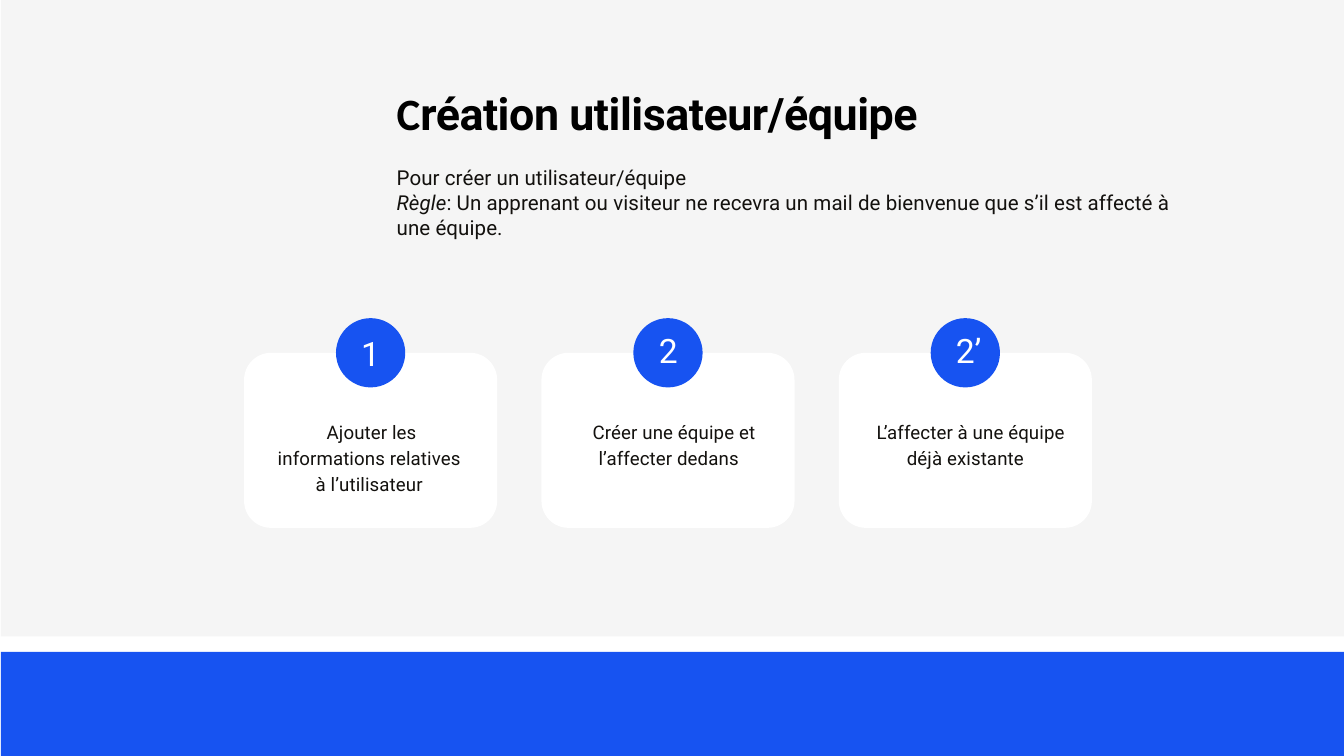
from pptx import Presentation
from pptx.dml.color import RGBColor
from pptx.enum.shapes import MSO_SHAPE
from pptx.enum.text import PP_ALIGN
from pptx.util import Pt

RECT, ROUND, OVAL = MSO_SHAPE.RECTANGLE, MSO_SHAPE.ROUNDED_RECTANGLE, MSO_SHAPE.OVAL
LEFT, CENTER = PP_ALIGN.LEFT, PP_ALIGN.CENTER
COLORS = {"page": "F5F5F5", "blue": "1753F1", "white": "FFFFFF",
          "black": "000000", "ink": "13110E"}

prs = Presentation()
prs.slide_width, prs.slide_height = Pt(1440), Pt(810)
slide = prs.slides.add_slide(prs.slide_layouts[6])


def add_shape(kind, x, y, w, h, color):
    shape = slide.shapes.add_shape(kind, Pt(x), Pt(y), Pt(w), Pt(h))
    shape.shadow.inherit = False
    shape.fill.solid()
    shape.fill.fore_color.rgb = RGBColor.from_string(COLORS[color])
    shape.line.fill.background()
    return shape


def add_text(paras, x, y, w, h, size, color="ink", align=LEFT, bold=False,
             track=10, indent=0, lines=None):
    """Each paragraph is a list of (text, font name, italic) runs."""
    frame = slide.shapes.add_textbox(Pt(x), Pt(y), Pt(w), Pt(h)).text_frame
    frame.word_wrap = True
    frame.margin_left = frame.margin_right = frame.margin_bottom = 0
    frame.margin_top = Pt(1)
    for i, runs in enumerate(paras):
        para = frame.paragraphs[0] if i == 0 else frame.add_paragraph()
        para.alignment = align
        if i:
            para.space_before = Pt(1)
        if lines:
            para.line_spacing = lines
        props = para._p.get_or_add_pPr()
        props.set("marL", str(Pt(1)))
        props.set("indent", str(Pt(indent)))
        for text, name, italic in runs:
            run = para.add_run()
            run.text = text
            font = run.font
            font.name, font.size = name, Pt(size)
            font.bold, font.italic = bold, italic
            font.color.rgb = RGBColor.from_string(COLORS[color])
            run._r.get_or_add_rPr().set("spc", str(track))


# Page panel and bottom band
add_shape(RECT, 1, 0, 1439, 682, "page")
add_shape(RECT, 1, 698.5, 1439, 111.5, "blue")

# Title and intro
add_text([[("C", "Calibri", False), ("réation utilisateur/équipe", "Roboto", False)]],
         424, 90.7, 810.7, 59, 48, color="black", bold=True, track=-50)
add_text([[("Pour créer un utilisateur/équipe", "Roboto", False)],
          [("Règle", "Roboto", True),
           (": Un apprenant ou visiteur ne recevra un mail de bienvenue que "
            "s’il est affecté à une équipe.", "Roboto", False)]],
         424, 175.7, 848, 82, 22)

# Step cards: number, its left, top and width; caption, its left, width and indent
STEPS = [
    ("1", 386, 355.7, 22.3,
     "Ajouter les informations relatives à l’utilisateur", 296.6, 197.3, 5),
    ("2", 704.9, 352.8, 22.3,
     "Créer une équipe et l’affecter dedans", 605.5, 221, 11.5),
    ("2’", 1023.1, 352.8, 48.2,
     "L’affecter à une équipe déjà existante", 918.7, 230.4, 11.5),
]
CARD_W, CARD_H, TOP, DOT = 271.2, 187.6, 378, 74.2
for i, (num, num_x, num_y, num_w, label, x, w, indent) in enumerate(STEPS):
    left = 261.5 + i * 318.6
    card = add_shape(ROUND, left, TOP, CARD_W, CARD_H, "white")
    card.adjustments[0] = 29 / CARD_H
    add_shape(OVAL, left + (CARD_W - DOT) / 2, TOP - DOT / 2, DOT, DOT, "blue")
    add_text([[(label, "Roboto", False)]], x, 445.7, w, 83.5, 20,
             align=CENTER, indent=indent, lines=1.16)
    add_text([[(num, "Roboto", False)]], num_x, num_y, num_w, 45, 36,
             color="white", track=-10)

prs.save("out.pptx")
